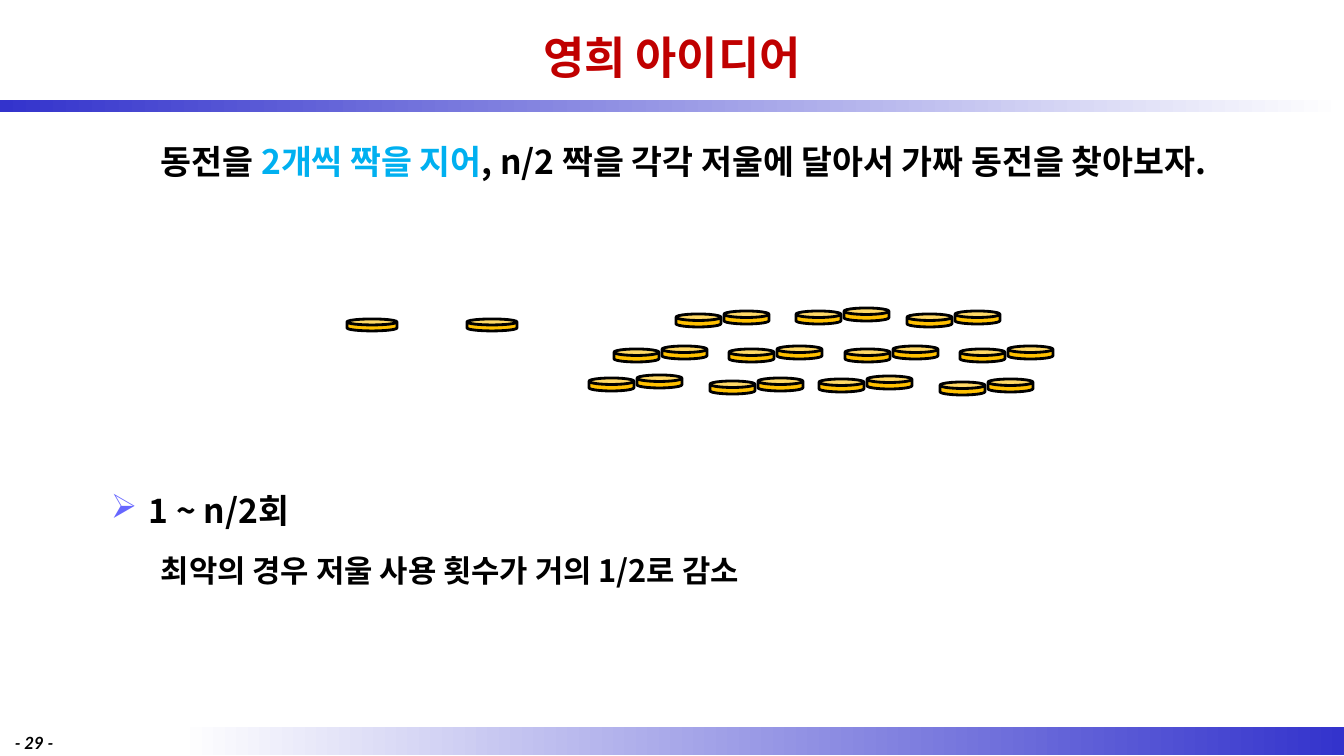
"""Build the slide on weighing coins in pairs."""
from lxml import etree
from pptx import Presentation
from pptx.dml.color import RGBColor
from pptx.enum.shapes import MSO_SHAPE
from pptx.enum.text import MSO_ANCHOR, PP_ALIGN
from pptx.oxml.ns import qn
from pptx.util import Pt

RECTANGLE, CAN = MSO_SHAPE.RECTANGLE, MSO_SHAPE.CAN
MIDDLE, CENTER = MSO_ANCHOR.MIDDLE, PP_ALIGN.CENTER
PX = 914400 / 100.8
KOREAN, LATIN, SYMBOL = "Noto Sans CJK KR", "Lato", "OpenSymbol"
BLACK, WHITE, BLUE, RED = "000000", "FFFFFF", "3333CC", "C00000"
SKY, GOLD, LILAC = "00B0F0", "FFC000", "6666FF"


def color(hex_string):
    return RGBColor.from_string(hex_string)


def px(*lengths):
    return [round(length * PX) for length in lengths]


deck = Presentation()
deck.slide_width, deck.slide_height = px(1344, 756)
page = deck.slides.add_slide(deck.slide_layouts[6])

bands = [
    ((179, 727, 1165, 28), (WHITE, BLUE)),
    ((0, 100, 1344, 12), (BLUE, WHITE)),
]
for place, ends in bands:
    band = page.shapes.add_shape(RECTANGLE, *px(*place))
    band.shadow.inherit = False
    band.line.fill.background()
    band.fill.gradient()
    band.fill.gradient_angle = 0
    for stop, position, shade in zip(band.fill.gradient_stops, (0, 1), ends):
        stop.position = position
        stop.color.rgb = color(shade)

texts = {
    "title": ((101, 5, 1142, 104), [([("영희 아이디어", RED)], 32, 0)]),
    "idea": ((101, 132, 1120, 120), [
        ([("동전을 ", BLACK), ("2개씩 짝을 지어", SKY),
          (", n/2 짝을 각각 저울에 달아서 가짜 동전을 찾아보자.", BLACK)], 24, 50)]),
    "result": ((101, 485, 1142, 120), [
        ([("1 ~ n/2회", BLACK)], 24, 38),
        ([("최악의 경우 저울 사용 횟수가 거의 1/2로 감소", BLACK)], 22, 50)]),
    "number": ((5, 728, 96, 24), [([("- 29 -", BLACK)], 12, 0)]),
}
frames = {}
for name, (place, paragraphs) in texts.items():
    frame = frames[name] = page.shapes.add_textbox(*px(*place)).text_frame
    frame.word_wrap = True
    for index, (pieces, size, indent) in enumerate(paragraphs):
        para = frame.paragraphs[0] if index == 0 else frame.add_paragraph()
        properties = para._p.get_or_add_pPr()
        properties.set("marL", str(px(indent)[0]))
        if name == "result" and index == 0:
            properties.set("indent", str(px(-indent)[0]))
            bullet_color = etree.SubElement(properties, qn("a:buClr"))
            etree.SubElement(bullet_color, qn("a:srgbClr"), val=LILAC)
            etree.SubElement(properties, qn("a:buFont"), typeface=SYMBOL)
            etree.SubElement(properties, qn("a:buChar"), char="➢")
        font = para.font
        font.name = LATIN if name == "number" else KOREAN
        font.size, font.bold = Pt(size), True
        font._element.set("kern", "0")
        for words, shade in pieces:
            span = para.add_run()
            span.text = words
            span.font.color.rgb = color(shade)
        if font.name == KOREAN:
            etree.SubElement(font._element, qn("a:ea"), typeface=KOREAN)

frames["title"].vertical_anchor = MIDDLE
frames["title"].paragraphs[0].alignment = CENTER
frames["idea"].paragraphs[0].line_spacing = 1.09
frames["result"].paragraphs[1].space_before = Pt(15)
frames["number"].paragraphs[0].font.italic = True

pairs = [
    (676, 314), (796, 311), (907, 314),
    (614, 349), (729, 349), (845, 349), (960, 349),
    (589, 378), (710, 381), (819, 379), (940, 382),
]
coins = [(347, 319, 50, 12), (467, 319, 50, 12)]
for left, top in pairs:
    coins += [(left, top, 45, 13), (left + 48, top - 3, 45, 13)]
for place in coins:
    coin = page.shapes.add_shape(CAN, *px(*place))
    coin.shadow.inherit = False
    coin.adjustments[0] = 0.5
    coin.fill.solid()
    coin.fill.fore_color.rgb = color(GOLD)
    coin.line.color.rgb = color(BLACK)
    coin.line.width = Pt(2)

deck.save("out.pptx")
